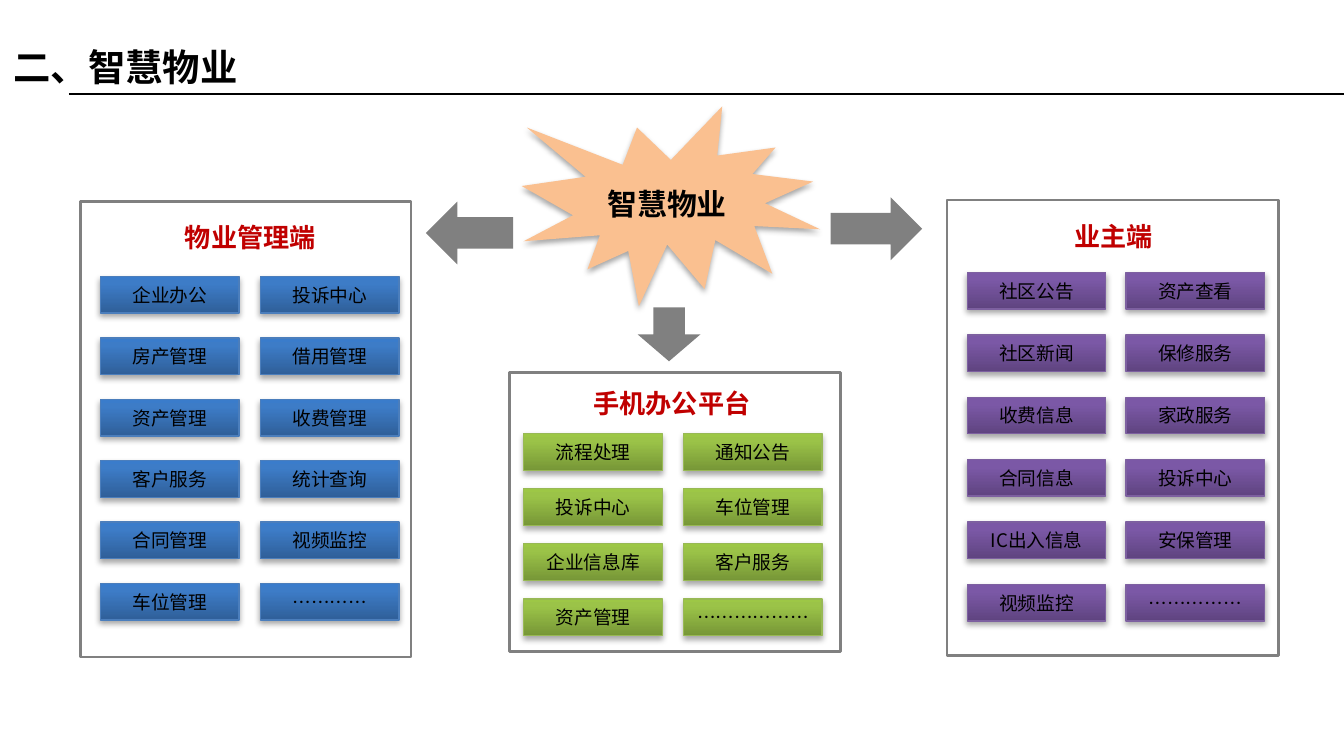
from copy import deepcopy
from dataclasses import dataclass

from lxml import etree
from pptx import Presentation
from pptx import util as u
from pptx.dml.color import RGBColor
from pptx.enum import shapes, text
from pptx.oxml.ns import qn


@dataclass(frozen=True)
class Theme:
    font: str = "Noto Sans CJK SC"
    ink: str = "000000"
    heading: str = "C00000"
    grey: str = "808080"
    burst: str = "FAC090"
    # gradient stops from bottom to top, then the outline
    blue: tuple = ("2F5F99", "3D7CC7", "3A7CCB", "4B7EBC")
    green: tuple = ("779737", "9BC348", "9DC746", "98B955")
    purple: tuple = ("5F4480", "7B58A6", "7C57A8", "7D60A0")
    title_size: int = 20
    burst_size: int = 16
    heading_size: int = 14
    button_size: int = 10


theme = Theme()
rgb = RGBColor.from_string


def write(box, words, size, color=theme.ink, bold=False, align=text.PP_ALIGN.CENTER,
          fit=text.MSO_AUTO_SIZE.SHAPE_TO_FIT_TEXT):
    """Put one run of text in the box and return its paragraph."""
    frame = box.text_frame
    frame.word_wrap = True
    frame.auto_size = fit
    frame.vertical_anchor = text.MSO_ANCHOR.MIDDLE
    para = frame.paragraphs[0]
    para.alignment = align
    span = para.add_run()
    span.text = words
    span.font.size = u.Pt(size)
    span.font.bold = bold
    span.font.color.rgb = rgb(color)
    span.font.name = theme.font
    etree.SubElement(span.font._element, qn("a:ea"), typeface=theme.font)
    return para


def drop_shadow(shape):
    shape.shadow.inherit = False
    effects = shape._element.spPr.find(qn("a:effectLst"))
    shadow = etree.SubElement(effects, qn("a:outerShdw"), blurRad="40000", dist="23000",
                              dir="5400000", rotWithShape="0")
    color = etree.SubElement(shadow, qn("a:srgbClr"), val=theme.ink)
    etree.SubElement(color, qn("a:alpha"), val="35000")


deck = Presentation()
deck.slide_width, deck.slide_height = u.Cm(25.4), u.Cm(14.29)
page = deck.slides.add_slide(deck.slide_layouts[5])

# Title and rule
title = page.shapes.title
title.left, title.top, title.width, title.height = u.Cm(0), u.Cm(0.48), u.Cm(22.86), u.Cm(1.14)
para = write(title, "二、智慧物业", theme.title_size, bold=True,
             align=text.PP_ALIGN.LEFT, fit=text.MSO_AUTO_SIZE.NONE)
para.line_spacing = 1.5
properties = para._p.get_or_add_pPr()
properties.set("marL", str(u.Cm(1.12)))
properties.set("indent", str(-u.Cm(1.12)))

rule = page.shapes.add_connector(shapes.MSO_CONNECTOR.STRAIGHT,
                                 u.Cm(1.3), u.Cm(1.78), u.Cm(25.4), u.Cm(1.78))
rule.line.color.rgb = rgb(theme.ink)
rule.line.width = u.Pt(0.75)
etree.SubElement(rule._element.spPr, qn("a:effectLst"))

# Central burst
burst = page.shapes.add_shape(shapes.MSO_SHAPE.EXPLOSION1,
                              u.Cm(9.86), u.Cm(2.01), u.Cm(5.64), u.Cm(3.78))
burst.fill.solid()
burst.fill.fore_color.rgb = rgb(theme.burst)
burst.line.fill.background()
drop_shadow(burst)
label = page.shapes.add_textbox(u.Cm(11.15), u.Cm(3.38), u.Cm(2.92), u.Cm(0.94))
write(label, "智慧物业", theme.burst_size, bold=True)

# Arrows from the burst to the panels
arrows = [
    (shapes.MSO_SHAPE.LEFT_ARROW, 8.05, 3.81, 1.65, 1.19),
    (shapes.MSO_SHAPE.RIGHT_ARROW, 15.7, 3.73, 1.73, 1.19),
    (shapes.MSO_SHAPE.DOWN_ARROW, 12.05, 5.81, 1.19, 1.02),
]
for kind, left, top, width, height in arrows:
    arrow = page.shapes.add_shape(kind, u.Cm(left), u.Cm(top), u.Cm(width), u.Cm(height))
    arrow.fill.solid()
    arrow.fill.fore_color.rgb = rgb(theme.grey)
    arrow.line.fill.background()
    arrow.shadow.inherit = False

# Panels: frame, heading box, colours, first button and pitch, button rows
panels = [
    ((1.52, 3.81, 6.25, 8.61), "物业管理端", (2.92, 4.06, 3.63, 0.86),
     theme.blue, (1.9, 5.23), (3.02, 1.16),
     [("企业办公", "投诉中心"), ("房产管理", "借用管理"), ("资产管理", "收费管理"),
      ("客户服务", "统计查询"), ("合同管理", "视频监控"), ("车位管理", "…………")]),
    ((9.63, 7.04, 6.25, 5.28), "手机办公平台", (10.39, 7.19, 4.62, 0.86),
     theme.green, (9.9, 8.2), (3.02, 1.04),
     [("流程处理", "通知公告"), ("投诉中心", "车位管理"),
      ("企业信息库", "客户服务"), ("资产管理", "………………")]),
    ((17.9, 3.78, 6.27, 8.61), "业主端", (19.23, 4.04, 3.63, 0.86),
     theme.purple, (18.28, 5.15), (3, 1.18),
     [("社区公告", "资产查看"), ("社区新闻", "保修服务"), ("收费信息", "家政服务"),
      ("合同信息", "投诉中心"), ("IC出入信息", "安保管理"), ("视频监控", "……………")]),
]
for frame_at, name, heading_at, colors, (left, top), (across, down), rows in panels:
    frame = page.shapes.add_shape(shapes.MSO_SHAPE.RECTANGLE, *map(u.Cm, frame_at))
    frame.fill.background()
    frame.line.color.rgb = rgb(theme.grey)
    frame.line.width = u.Pt(1.5)
    frame.shadow.inherit = False

    heading = page.shapes.add_textbox(*map(u.Cm, heading_at))
    write(heading, name, theme.heading_size, theme.heading, bold=True)

    *stop_colors, outline = colors
    for row, pair in enumerate(rows):
        for column, words in enumerate(pair):
            button = page.shapes.add_shape(
                shapes.MSO_SHAPE.RECTANGLE, u.Cm(left + column * across),
                u.Cm(top + row * down), u.Cm(2.62), u.Cm(0.69))
            button.fill.gradient()
            button.fill.gradient_angle = 90
            stops = button._element.spPr.find(qn("a:gradFill")).find(qn("a:gsLst"))
            stops.append(deepcopy(stops[-1]))
            for stop, position, color in zip(button.fill.gradient_stops, (0, 0.8, 1), stop_colors):
                stop.position = position
                stop.color.rgb = rgb(color)
            button.line.color.rgb = rgb(outline)
            button.line.width = u.Pt(0.75)
            drop_shadow(button)
            write(button, words, theme.button_size)

deck.save("out.pptx")
